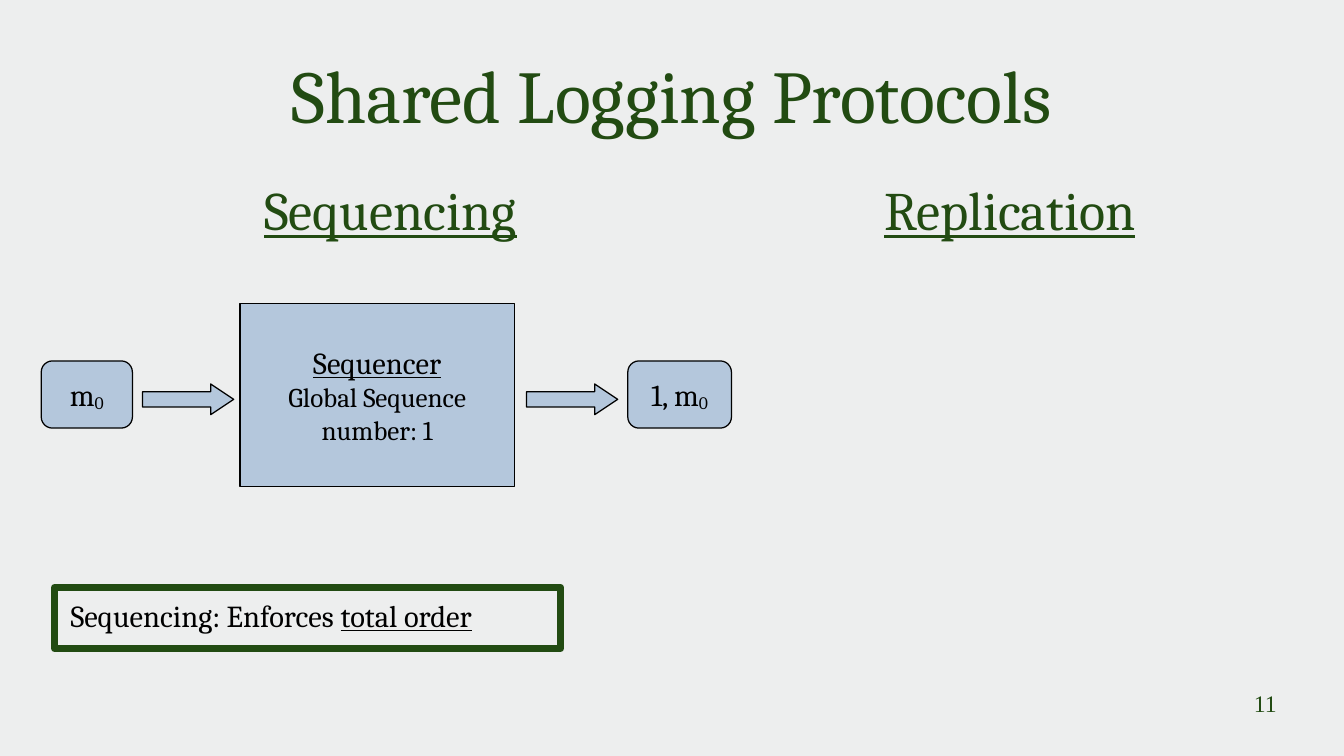
from dataclasses import dataclass

from pptx import Presentation
from pptx.dml.color import RGBColor
from pptx.enum.shapes import MSO_SHAPE
from pptx.enum.text import MSO_ANCHOR, PP_ALIGN
from pptx.util import Cm, Pt

RECTANGLE = MSO_SHAPE.RECTANGLE
ROUNDED = MSO_SHAPE.ROUNDED_RECTANGLE
ARROW = MSO_SHAPE.RIGHT_ARROW
LEFT, CENTER, RIGHT = PP_ALIGN.LEFT, PP_ALIGN.CENTER, PP_ALIGN.RIGHT
TOP, MIDDLE = MSO_ANCHOR.TOP, MSO_ANCHOR.MIDDLE


@dataclass(frozen=True)
class Theme:
    background: RGBColor = RGBColor(0xED, 0xEE, 0xEE)
    green: RGBColor = RGBColor(0x22, 0x4B, 0x12)
    blue: RGBColor = RGBColor(0xB4, 0xC7, 0xDC)
    black: RGBColor = RGBColor(0, 0, 0)
    font: str = "Cambria"
    number_font: str = "Times New Roman"
    title: int = 44
    heading: int = 32
    label: int = 18
    detail: int = 16
    number: int = 14


theme = Theme()


def write(box, paragraphs, color, align, anchor, margins=(0, 0), font=theme.font):
    frame = box.text_frame
    frame.word_wrap = True
    frame.vertical_anchor = anchor
    frame.margin_left = frame.margin_right = Cm(margins[0])
    frame.margin_top = frame.margin_bottom = Cm(margins[1])
    for index, (size, spans) in enumerate(paragraphs):
        para = frame.add_paragraph() if index else frame.paragraphs[0]
        para.alignment = align
        for text, style in spans:
            span = para.add_run()
            span.text = text
            span.font.name = font
            span.font.size = Pt(size)
            span.font.color.rgb = color
            if style == "underline":
                span.font.underline = True
            elif style == "subscript":
                span.font._element.set("baseline", "-8000")


def add_block(kind, left, top, width, height):
    block = page.shapes.add_shape(kind, Cm(left), Cm(top), Cm(width), Cm(height))
    block.shadow.inherit = False
    block.fill.solid()
    block.fill.fore_color.rgb = theme.blue
    block.line.color.rgb = theme.black
    block.line.width = Pt(0)
    return block


deck = Presentation()
deck.slide_width, deck.slide_height = Cm(28), Cm(15.75)
page = deck.slides.add_slide(deck.slide_layouts[6])
page.background.fill.solid()
page.background.fill.fore_color.rgb = theme.background

captions = [
    ("Shared Logging Protocols", None, theme.title, theme.font, CENTER, MIDDLE, 1.4, 0.64, 25.2, 2.64),
    ("Sequencing", "underline", theme.heading, theme.font, CENTER, TOP, 2.59, 3.68, 11.1, 1.5),
    ("Replication", "underline", theme.heading, theme.font, CENTER, TOP, 15.49, 3.68, 11.1, 1.5),
    ("11", None, theme.number, theme.number_font, RIGHT, TOP, 20.07, 14.35, 6.53, 1.09),
]
for text, style, size, font, align, anchor, left, top, width, height in captions:
    box = page.shapes.add_textbox(Cm(left), Cm(top), Cm(width), Cm(height))
    write(box, [(size, [(text, style)])], theme.green, align, anchor, font=font)

note = add_block(RECTANGLE, 1.14, 12.24, 10.54, 1.27)
note.fill.background()
note.line.color.rgb = theme.green
note.line.width = Pt(4.3)
note_spans = [("Sequencing: Enforces ", None), ("total order", "underline")]
write(note, [(theme.label, note_spans)], theme.black, LEFT, TOP, (0.33, 0.2))

sequencer = add_block(RECTANGLE, 5, 6.32, 5.72, 3.81)
sequencer_lines = [
    (theme.label, [("Sequencer", "underline")]),
    (theme.detail, [("Global Sequence number: 1", None)]),
]
write(sequencer, sequencer_lines, theme.black, CENTER, MIDDLE, (0.25, 0.13))

for text, left, width in [("m", 0.86, 1.9), ("1, m", 13.08, 2.16)]:
    message = add_block(ROUNDED, left, 7.52, width, 1.4)
    spans = [(text, None), ("0", "subscript")]
    write(message, [(theme.label, spans)], theme.black, CENTER, MIDDLE, (0.25, 0.13))

for left in (2.97, 10.97):
    arrow = add_block(ARROW, left, 8, 1.9, 0.64)
    arrow.adjustments[0] = 0.5
    arrow.adjustments[1] = 0.75

deck.save("out.pptx")
